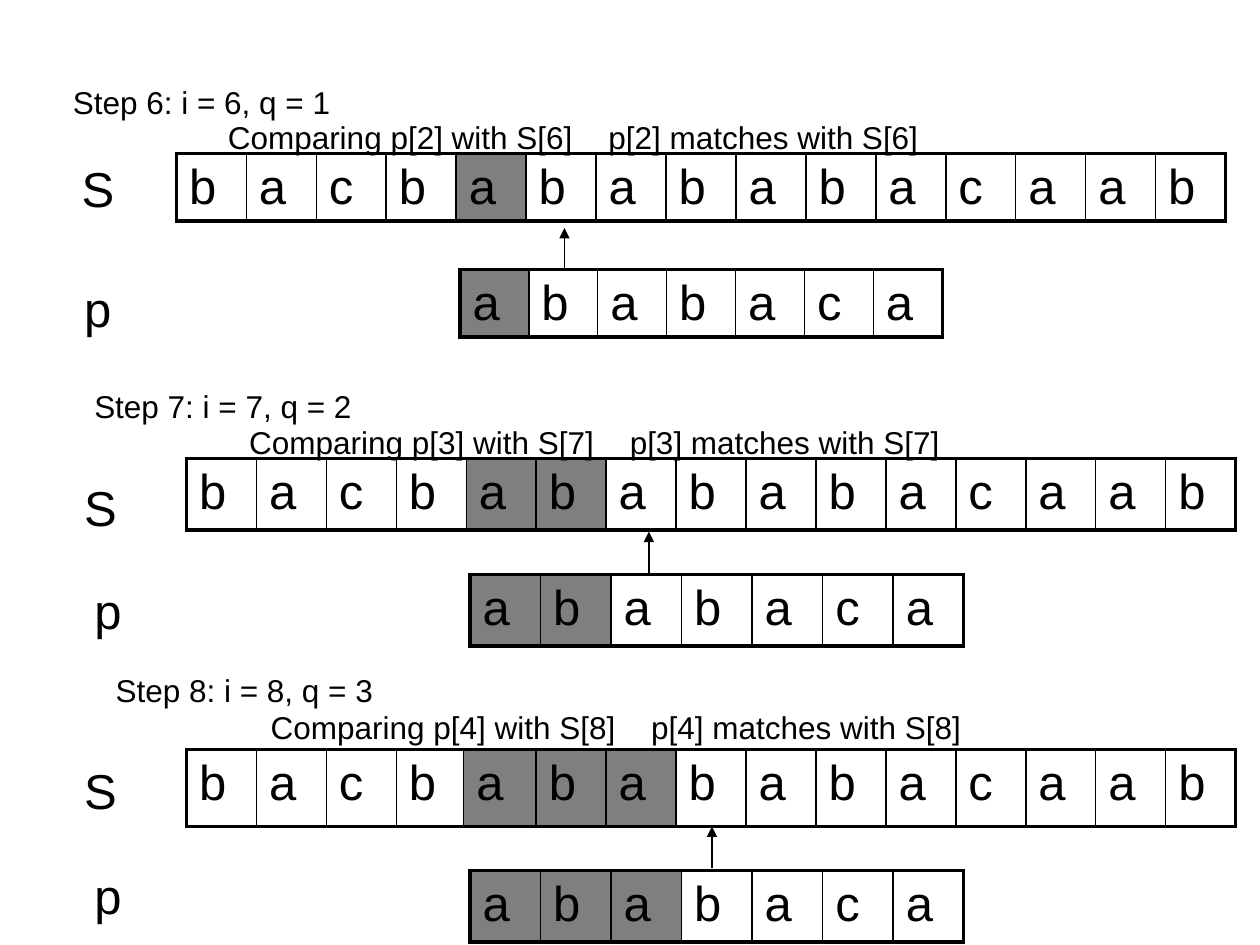
import pptx
import pptx.util
import pptx.dml.color
import pptx.enum.shapes
import pptx.enum.text
import pptx.oxml
import pptx.oxml.ns

Inches = pptx.util.Inches
Pt = pptx.util.Pt
BLACK = pptx.dml.color.RGBColor(0, 0, 0)
NS = pptx.oxml.ns.nsdecls("a")
FIT = pptx.enum.text.MSO_AUTO_SIZE

deck = pptx.Presentation()
deck.slide_width, deck.slide_height = Inches(10), Inches(7.5)
slide = deck.slides.add_slide(deck.slide_layouts[6])


def write(para, text, size):
    para.text = text
    for name, value in {"name": "Arial", "size": Pt(size)}.items():
        setattr(para.font, name, value)
    para.font.color.rgb = BLACK


def add_row(word, left, top, width, height, dark, shift=0):
    count = len(word)
    frame = slide.shapes.add_table(
        1, count, Inches(left), Inches(top), Inches(width), Inches(height))
    table = frame.table
    for name in ("first_row", "horz_banding"):
        setattr(table, name, False)
    for n, char in enumerate(word):
        nudge = {3: -shift, 4: shift}.get(n, 0)
        table.columns[n].width = Inches(width / count + nudge)
        cell = table.cell(0, n)
        props = cell._tc.get_or_add_tcPr()
        edges = {"L": 2.25 if n == 0 else 1, "R": 2.25 if n == count - 1 else 1,
                 "T": 2.25, "B": 2.25}
        for side, weight in edges.items():
            props.append(pptx.oxml.parse_xml(
                f'<a:ln{side} {NS} w="{Pt(weight)}"><a:solidFill>'
                f'<a:srgbClr val="{BLACK}"/></a:solidFill></a:ln{side}>'))
        if n in dark:
            cell.fill.solid()
            cell.fill.fore_color.rgb = BLACK
            tint = props.find(".//" + pptx.oxml.ns.qn("a:solidFill") + "[last()]")
            tint = props.findall(pptx.oxml.ns.qn("a:solidFill"))[0][0]
            tint.append(pptx.oxml.parse_xml(f'<a:alpha {NS} val="50000"/>'))
        else:
            cell.fill.background()
        write(cell.text_frame.paragraphs[0], char, 28)


steps = [
    {"num": 6, "head": (0.48, 0.64), "note": (1.71, 0.89),
     "S": (0.55, 1.21), "p": (0.57, 2.16), "text": (1.4, 1.22, 8.33, 0.53),
     "pat": (3.65, 2.14, 3.83, 0.53), "arrow": (4.48, 2.14, 1.81)},
    {"num": 7, "head": (0.65, 3.06), "note": (1.88, 3.31),
     "S": (0.57, 3.74), "p": (0.65, 4.56), "text": (1.48, 3.64, 8.33, 0.53),
     "pat": (3.73, 4.56, 3.92, 0.53), "arrow": (5.15, 4.56, 4.22)},
    {"num": 8, "head": (0.82, 5.31), "note": (2.05, 5.57),
     "S": (0.57, 5.99), "p": (0.65, 6.82), "text": (1.48, 5.95, 8.33, 0.61),
     "pat": (3.73, 6.91, 3.92, 0.53), "arrow": (5.65, 6.89, 6.56),
     "shift": 0.02},
]

for step in steps:
    num = step["num"]
    done = num - 5
    add_row("bacbabababacaab", *step["text"], range(4, 4 + done),
            step.get("shift", 0))
    add_row("ababaca", *step["pat"], range(done))

    x, y = step["note"]
    labels = [
        (f"Step {num}: i = {num}, q = {done}", step["head"], (2.5, 0.25), 18, True),
        (f"Comparing p[{done + 1}] with S[{num}]", (x, y), (2.94, 0.4), 18, False),
        (f"p[{done + 1}] matches with S[{num}]", (x + 3.02, y), (2.66, 0.4), 18, False),
        ("S", step["S"], (0.46, 0.57), 28, False),
        ("p", step["p"], (0.42, 0.57), 28, False),
    ]
    for text, spot, size, points, wrap in labels:
        box = slide.shapes.add_textbox(*map(Inches, spot + size))
        form = {"word_wrap": wrap,
                "auto_size": FIT.NONE if wrap else FIT.SHAPE_TO_FIT_TEXT}
        for name, value in form.items():
            setattr(box.text_frame, name, value)
        para = box.text_frame.paragraphs[0]
        write(para, text, points)
        if wrap:
            para.line_spacing = 0.9

    x, start, end = map(Inches, step["arrow"])
    arrow = slide.shapes.add_connector(
        pptx.enum.shapes.MSO_CONNECTOR.STRAIGHT, x, start, x, end)
    arrow.line.color.rgb = BLACK
    arrow.line.width = Pt(0.75)
    arrow.line._get_or_add_ln().append(
        pptx.oxml.parse_xml(f'<a:tailEnd {NS} type="triangle"/>'))
    arrow._element.spPr.append(pptx.oxml.parse_xml(f"<a:effectLst {NS}/>"))

deck.save("out.pptx")
